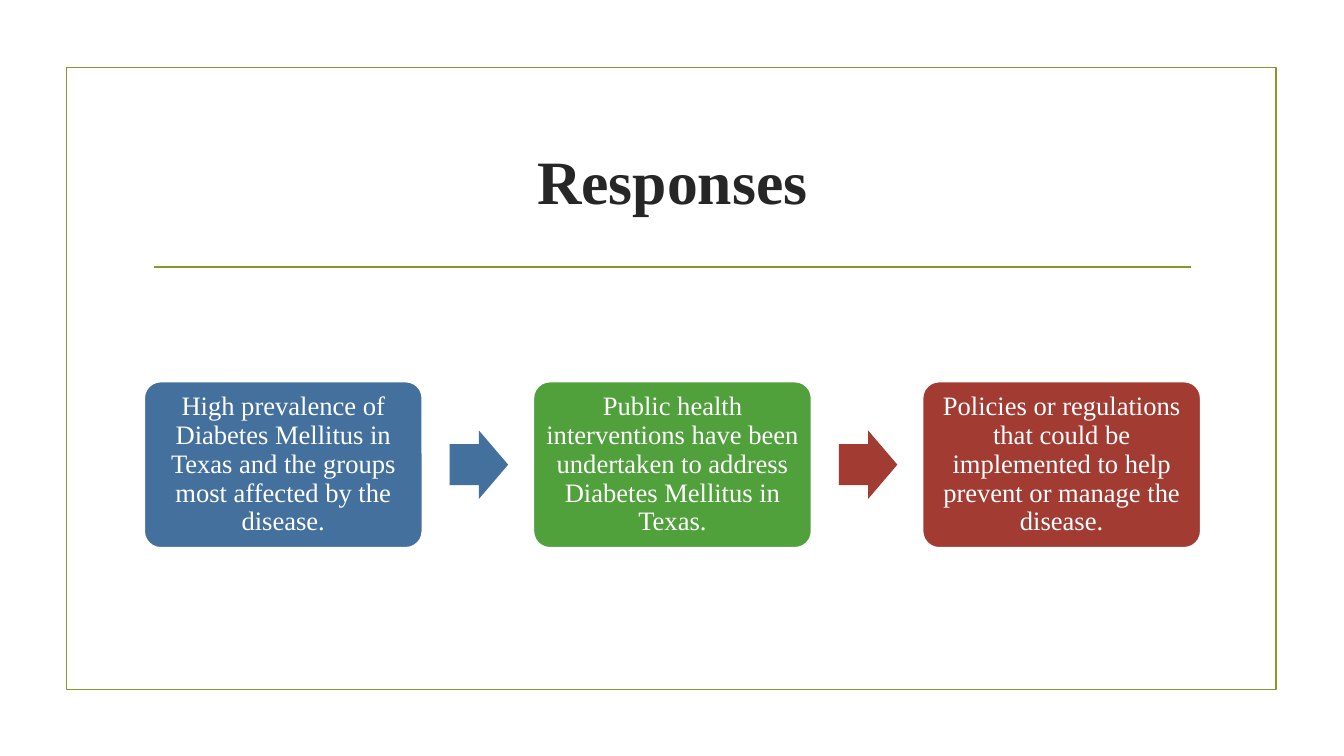
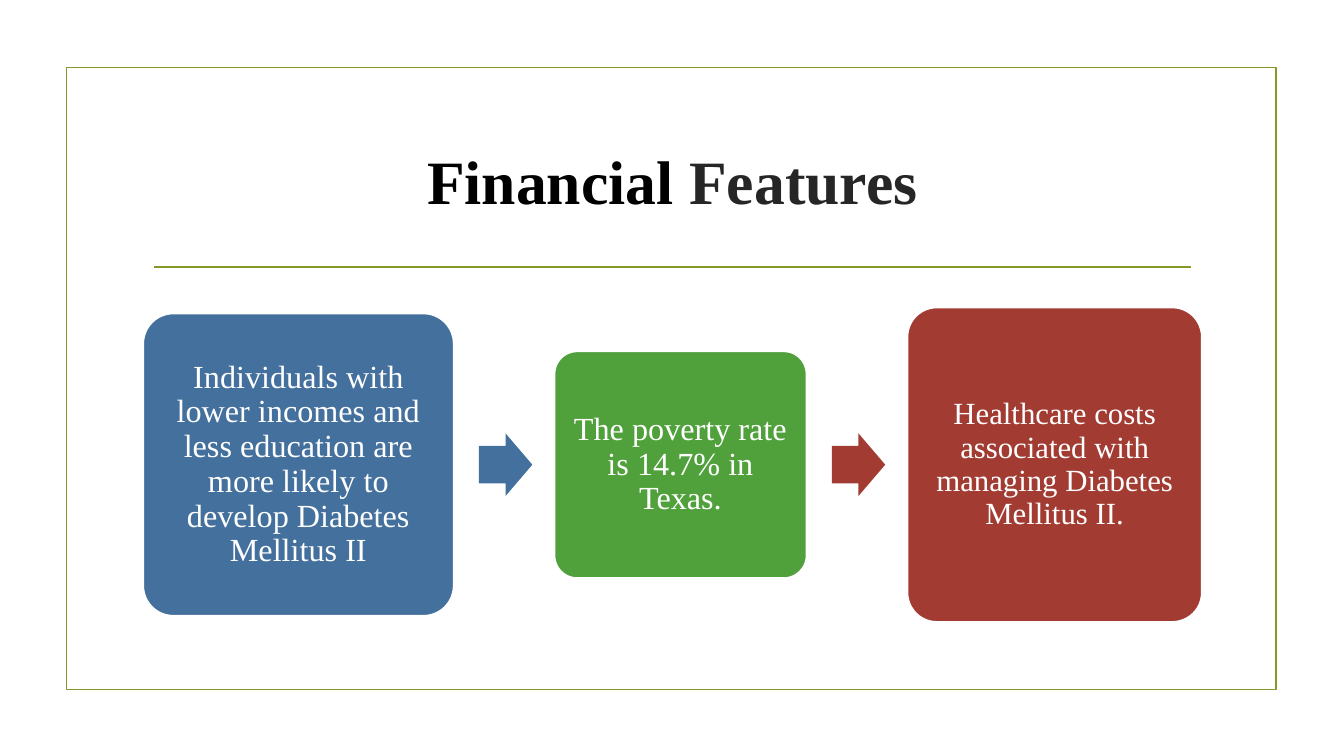
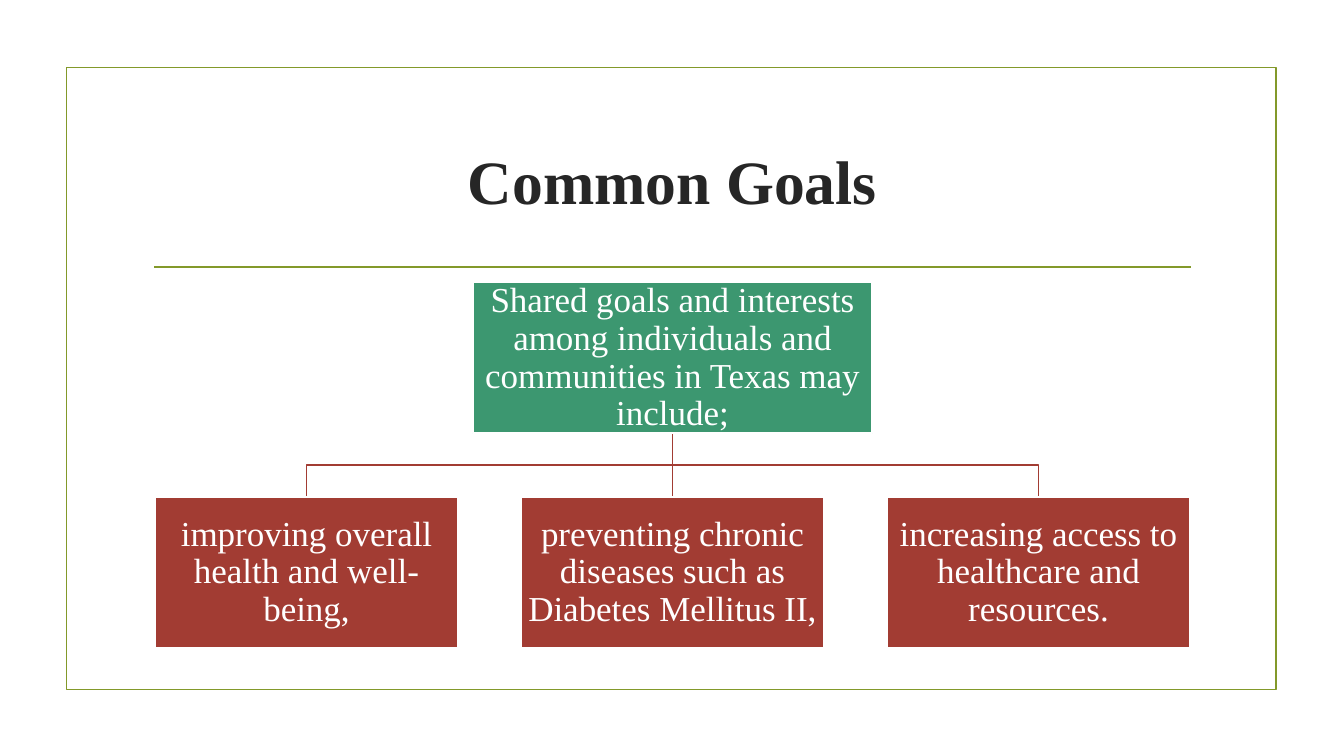
"""Builds three slides on diabetes in Texas: two step chains and one goal tree."""
from dataclasses import dataclass

import pptx
import pptx.dml.color
import pptx.enum.shapes
import pptx.enum.text
import pptx.util
from lxml import etree

Inches = pptx.util.Inches
SHAPES = pptx.enum.shapes.MSO_SHAPE


@dataclass(frozen=True)
class Theme:
    """Colours, font and sizes of the deck."""
    font: str = "Times New Roman"
    title_size: int = 44
    line_width: float = 1.25
    white: str = "FFFFFF"
    black: str = "000000"
    ink: str = "262626"
    olive: str = "83992A"
    blue: str = "44709D"
    green: str = "50A03B"
    red: str = "A23C33"
    teal: str = "3C9770"


THEME = Theme()


def rgb(colour):
    """Turn a hex string into a colour."""
    return pptx.dml.color.RGBColor.from_string(colour)


def set_line(item, colour):
    """Give an outline or line the deck's width and a colour."""
    item.line.color.rgb = rgb(colour)
    item.line.width = pptx.util.Pt(THEME.line_width)


def write(frame, runs, size, inset, bold=False, spacing=1.0):
    """Fill a frame with one centred paragraph of (text, colour) runs."""
    frame.word_wrap = True
    frame.vertical_anchor = pptx.enum.text.MSO_ANCHOR.MIDDLE
    frame.margin_left = frame.margin_right = Inches(inset)
    frame.margin_top = frame.margin_bottom = Inches(inset)
    paragraph = frame.paragraphs[0]
    paragraph.alignment = pptx.enum.text.PP_ALIGN.CENTER
    paragraph.line_spacing = spacing
    for text, colour in runs:
        run = paragraph.add_run()
        run.text = text
        run.font.name = THEME.font
        run.font.size = pptx.util.Pt(size)
        run.font.bold = bold
        run.font.color.rgb = rgb(colour)


def add_block(slide, kind, left, top, width, height, fill=None, line=None):
    """Add a preset shape without shadow."""
    block = slide.shapes.add_shape(
        kind, Inches(left), Inches(top), Inches(width), Inches(height))
    block.shadow.inherit = False
    if fill:
        block.fill.solid()
        block.fill.fore_color.rgb = rgb(fill)
    else:
        block.fill.background()
    if line:
        set_line(block, line)
    else:
        block.line.fill.background()
    return block


def add_card(slide, kind, left, top, width, height, fill, text, size, inset):
    """Add a filled card with a white outline and white text."""
    card = add_block(slide, kind, left, top, width, height, fill, THEME.white)
    if kind == SHAPES.ROUNDED_RECTANGLE:
        card.adjustments[0] = 0.1
    write(card.text_frame, [(text, THEME.white)], size, inset, spacing=0.9)
    return card


def add_straight(slide, x1, y1, x2, y2, colour):
    """Add a straight connector without shadow."""
    connector = slide.shapes.add_connector(
        pptx.enum.shapes.MSO_CONNECTOR.STRAIGHT,
        Inches(x1), Inches(y1), Inches(x2), Inches(y2))
    set_line(connector, colour)
    properties = connector.element.spPr
    etree.SubElement(properties, pptx.oxml.ns.qn("a:effectLst"))
    return connector


def add_elbow(slide, start_x, start_y, end_x, end_y, colour):
    """Add an open line that goes down, across and down again."""
    middle_y = (start_y + end_y) / 2
    corners = [(start_x, middle_y), (end_x, middle_y), (end_x, end_y)]
    builder = slide.shapes.build_freeform(Inches(start_x), Inches(start_y))
    builder.add_line_segments(
        [(Inches(x), Inches(y)) for x, y in corners], close=False)
    elbow = builder.convert_to_shape()
    elbow.shadow.inherit = False
    elbow.fill.background()
    set_line(elbow, colour)


def add_framed_slide(deck, title_runs):
    """Add a slide with the olive frame, the rule and a title."""
    slide = deck.slides.add_slide(deck.slide_layouts[6])
    add_block(slide, SHAPES.RECTANGLE, 0.66, 0.67, 12, 6.17, line=THEME.olive)
    add_straight(slide, 1.53, 2.65, 11.81, 2.65, THEME.olive)
    title = slide.shapes.add_textbox(
        Inches(1.42), Inches(1.07), Inches(10.5), Inches(1.43))
    write(title.text_frame, title_runs, THEME.title_size, 0.05, bold=True)
    return slide


def add_chain(slide, left, gap, arrow_lead, arrow_size, steps):
    """Add cards in a row, centred on one axis, with arrows in the gaps."""
    axis = 4.61
    colours = [THEME.blue, THEME.green, THEME.red]
    arrow_colours = [THEME.blue, THEME.red]
    arrow_width, arrow_height = arrow_size
    for i, (width, height, size, inset, text) in enumerate(steps):
        add_card(slide, SHAPES.ROUNDED_RECTANGLE, left, axis - height / 2,
                 width, height, colours[i], text, size, inset)
        left += width
        if i < len(arrow_colours):
            arrow = add_block(slide, SHAPES.RIGHT_ARROW, left + arrow_lead,
                              axis - arrow_height / 2, arrow_width,
                              arrow_height, arrow_colours[i])
            arrow.adjustments[0] = 0.6
            arrow.adjustments[1] = 0.5
        left += gap


def add_goal_tree(slide, root_text, goals):
    """Add a root card joined to a row of three goal cards."""
    centre, root_top, goal_top = 6.67, 2.8, 4.93
    root_width, goal_width, height, pitch = 3.96, 3, 1.5, 3.63
    size, inset = 25, 0.02
    root_bottom = root_top + height
    for side in (1, -1):
        add_elbow(slide, centre, root_bottom, centre + side * pitch, goal_top,
                  THEME.red)
    stem = add_straight(slide, centre, root_bottom, centre, goal_top, THEME.red)
    root = add_card(slide, SHAPES.RECTANGLE, centre - root_width / 2, root_top,
                    root_width, height, THEME.teal, root_text, size, inset)
    cards = [
        add_card(slide, SHAPES.RECTANGLE,
                 centre + (i - 1) * pitch - goal_width / 2, goal_top,
                 goal_width, height, THEME.red, goal, size, inset)
        for i, goal in enumerate(goals)]
    stem.begin_connect(root, 2)
    stem.end_connect(cards[1], 0)


def main():
    """Build and save the deck."""
    deck = pptx.Presentation()
    deck.slide_width, deck.slide_height = Inches(13.33), Inches(7.5)

    responses = add_framed_slide(deck, [("Responses", THEME.ink)])
    response_texts = [
        "High prevalence of Diabetes Mellitus in Texas and the groups most "
        "affected by the disease.",
        "Public health interventions have been undertaken to address Diabetes "
        "Mellitus in Texas.",
        "Policies or regulations that could be implemented to help prevent or "
        "manage the disease."]
    add_chain(responses, 1.43, 1.1, 0.27, (0.58, 0.68),
              [(2.76, 1.65, 19, 0.08, text) for text in response_texts])

    finance = add_framed_slide(
        deck, [("Financial ", THEME.black), ("Features", THEME.ink)])
    add_chain(finance, 1.42, 1, 0.25, (0.53, 0.62), [
        (3.08, 3, 23, 0.1, "Individuals with lower incomes and less education "
                           "are more likely to develop Diabetes Mellitus II"),
        (2.5, 2.25, 23, 0.1, "The poverty rate is 14.7% in Texas."),
        (2.92, 3.12, 22, 0.09, "Healthcare costs associated with managing "
                               "Diabetes Mellitus II.")])

    common_goals = add_framed_slide(deck, [("Common Goals", THEME.ink)])
    add_goal_tree(
        common_goals,
        "Shared goals and interests among individuals and communities in Texas "
        "may include;",
        ["improving overall health and well-being,",
         "preventing chronic diseases such as Diabetes Mellitus II,",
         "increasing access to healthcare and resources."])

    deck.save("out.pptx")


if __name__ == "__main__":
    main()
